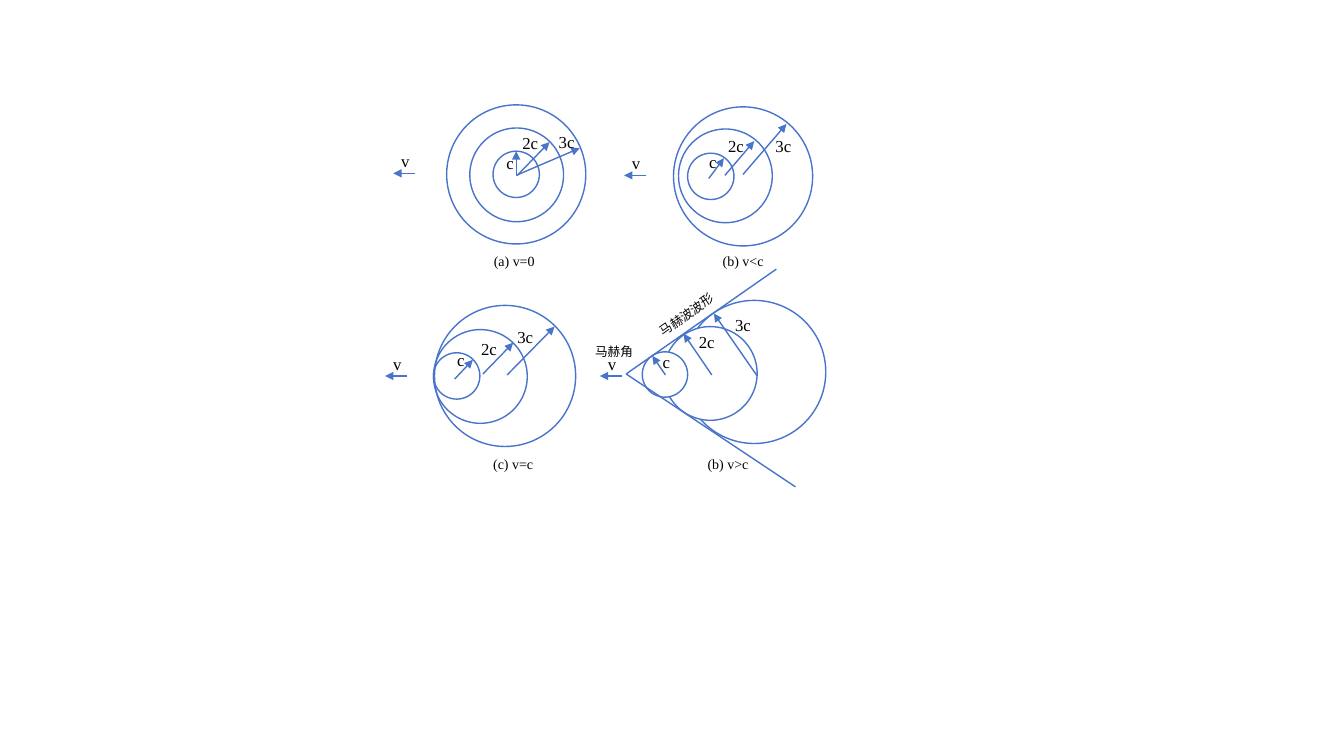
from dataclasses import dataclass
from typing import NamedTuple

from lxml.etree import SubElement
from pptx import Presentation
from pptx.dml.color import RGBColor
from pptx.enum.shapes import MSO_CONNECTOR as CONN, MSO_SHAPE as SHAPE
from pptx.enum.text import MSO_ANCHOR as ANCHOR, PP_ALIGN as ALIGN
from pptx.oxml.ns import qn
from pptx.util import Inches, Pt

COLORS = {"wave": "4874CB", "text": "000000", "paper": "FFFFFF"}
LATIN, CJK = "Times New Roman", "Noto Sans CJK SC"
COLS, ROWS = 1333, 750

prs = Presentation()
prs.slide_width, prs.slide_height = Inches(13.33), Inches(7.5)
shapes = prs.slides.add_slide(prs.slide_layouts[6]).shapes


class Point(NamedTuple):
    col: float
    row: float


class Ray(NamedTuple):
    start: Point
    end: Point


class Label(NamedTuple):
    text: str
    center: Point
    width: float = 36
    height: float = 30
    size: int = 12
    font: str = LATIN
    rotation: int = 0


@dataclass
class Wave:
    corner: Point
    diameter: float
    ray: Ray
    label: Label
    filled: bool = False


@dataclass
class Panel:
    caption: Label
    velocity_tip: Point
    waves: list[Wave]


def x(col: float) -> int:
    return round(prs.slide_width * col / COLS)


def y(row: float) -> int:
    return round(prs.slide_height * row / ROWS)


def color(name: str) -> RGBColor:
    return RGBColor.from_string(COLORS[name])


def draw_circle(wave: Wave) -> None:
    sp = shapes.add_shape(SHAPE.OVAL, x(wave.corner.col), y(wave.corner.row),
                          x(wave.diameter), y(wave.diameter))
    sp.shadow.inherit = False
    if wave.filled:
        sp.fill.solid()
        sp.fill.fore_color.rgb = color("paper")
    else:
        sp.fill.background()
    sp.line.color.rgb = color("wave")
    sp.line.width = Pt(1)


def draw_line(ray: Ray, arrow: bool = True) -> None:
    line = shapes.add_connector(CONN.STRAIGHT, x(ray.start.col), y(ray.start.row),
                                x(ray.end.col), y(ray.end.row))
    line.line.color.rgb = color("wave")
    line.line.width = Pt(1)
    if arrow:
        SubElement(line.line._get_or_add_ln(), qn("a:tailEnd"), type="triangle")
    SubElement(line._element.spPr, qn("a:effectLst"))


def draw_label(label: Label) -> None:
    sp = shapes.add_textbox(x(label.center.col - label.width / 2),
                            y(label.center.row - label.height / 2),
                            x(label.width), y(label.height))
    sp.rotation = label.rotation
    tf = sp.text_frame
    tf.word_wrap = False
    tf.vertical_anchor = ANCHOR.MIDDLE
    tf.margin_left = tf.margin_right = tf.margin_top = tf.margin_bottom = 0
    p = tf.paragraphs[0]
    p.text = label.text
    p.alignment = ALIGN.CENTER
    r = p.runs[0]
    r.font.size = Pt(label.size)
    r.font.color.rgb = color("text")
    r.font.name = label.font
    SubElement(r._r.get_or_add_rPr(), qn("a:ea"), typeface=label.font)


def caption(text: str, col: float, row: float) -> Label:
    return Label(text, Point(col, row), 60, 25, 10)


def draw_panel(panel: Panel) -> None:
    for wave in panel.waves:
        draw_circle(wave)
    for wave in panel.waves:
        draw_line(wave.ray)
        draw_label(wave.label)
    tip = panel.velocity_tip
    draw_line(Ray(Point(tip.col + 22, tip.row), tip))
    draw_label(Label("v", Point(tip.col + 12, tip.row - 12), 17))
    draw_label(panel.caption)


def wave(text: str, corner: tuple, diameter: float, start: tuple, end: tuple,
         center: tuple, filled: bool = False) -> Wave:
    return Wave(Point(*corner), diameter, Ray(Point(*start), Point(*end)),
                Label(text, Point(*center), 20 if text == "c" else 36), filled)


PANELS = [
    Panel(caption("(a) v=0", 510, 259), Point(390, 172), [
        wave("3c", (443, 104), 138, (512, 174), (575, 147), (562, 141)),
        wave("2c", (466, 127), 93, (513, 174), (545, 141), (526, 142)),
        wave("c", (489, 150), 46, (512, 174), (512, 150), (506, 162)),
    ]),
    Panel(caption("(b) v<c", 737, 259), Point(619, 174), [
        wave("3c", (668, 106), 138, (737, 173), (780, 123), (777, 145)),
        wave("2c", (673, 128), 93, (719, 174), (748, 140), (730, 145)),
        wave("c", (682, 152), 46, (703, 177), (718, 157), (707, 161)),
    ]),
    Panel(caption("(c) v=c", 509, 460), Point(382, 373), [
        wave("3c", (431, 303), 140, (503, 372), (550, 324), (521, 334)),
        wave("2c", (430, 327), 93, (479, 371), (509, 340), (485, 346)),
        wave("c", (430, 350), 46, (451, 376), (469, 357), (457, 357)),
    ]),
    Panel(caption("(b) v>c", 722, 460), Point(595, 373), [
        wave("3c", (677, 298), 142, (751, 373), (708, 311), (737, 322)),
        wave("2c", (658, 324), 93, (706, 372), (678, 331), (701, 339), True),
        wave("c", (637, 349), 45, (660, 372), (647, 353), (661, 359), True),
    ]),
]

MACH_APEX = Point(621, 371)
MACH_LINE_ENDS = [Point(770, 267), Point(789, 483)]
MACH_LABELS = [
    Label("马赫波波形", Point(681, 312), 91, 25, 9, CJK, 325),
    Label("马赫角", Point(609, 349), 61, 26, 9, CJK),
]

for panel in PANELS:
    draw_panel(panel)
for end in MACH_LINE_ENDS:
    draw_line(Ray(MACH_APEX, end), arrow=False)
for label in MACH_LABELS:
    draw_label(label)

prs.save("out.pptx")
